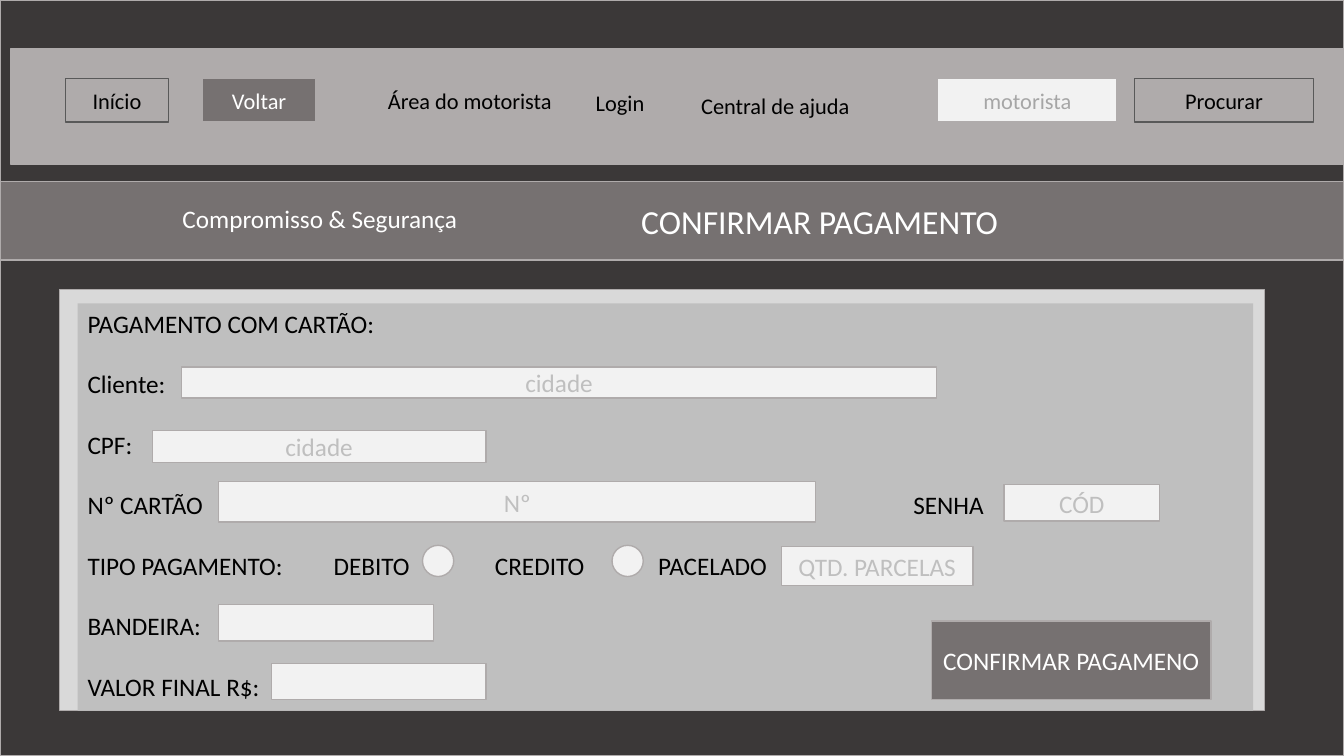
from dataclasses import dataclass

import pptx
import pptx.dml.color
import pptx.enum.shapes
import pptx.enum.text
import pptx.oxml.ns
import pptx.util
from lxml import etree

RGBColor = pptx.dml.color.RGBColor
Inches = pptx.util.Inches
Pt = pptx.util.Pt
RECTANGLE = pptx.enum.shapes.MSO_SHAPE.RECTANGLE
OVAL = pptx.enum.shapes.MSO_SHAPE.OVAL
MIDDLE = pptx.enum.text.MSO_ANCHOR.MIDDLE
TOP = pptx.enum.text.MSO_ANCHOR.TOP
CENTER = pptx.enum.text.PP_ALIGN.CENTER
LEFT = pptx.enum.text.PP_ALIGN.LEFT

FONT = "Calibri"
BLACK = RGBColor(0x00, 0x00, 0x00)
WHITE = RGBColor(0xFF, 0xFF, 0xFF)
CHARCOAL = RGBColor(0x3B, 0x38, 0x38)
OUTLINE = RGBColor(0x59, 0x59, 0x59)
BUTTON = RGBColor(0x76, 0x71, 0x71)
HINT = RGBColor(0xA6, 0xA6, 0xA6)
BAR = RGBColor(0xAF, 0xAB, 0xAB)
PANEL = RGBColor(0xBF, 0xBF, 0xBF)
FRAME = RGBColor(0xD9, 0xD9, 0xD9)
FIELD = RGBColor(0xF2, 0xF2, 0xF2)


@dataclass
class Box:
    """A rectangle in inches."""

    left: float
    top: float
    width: float
    height: float

    def inner(self, left, top, width, height):
        """Return a box placed relative to this one."""
        return Box(self.left + left, self.top + top, width, height)

    def lengths(self):
        """Return the four sides as lengths."""
        return [Inches(side) for side in (self.left, self.top, self.width, self.height)]


def format_text(text_frame, size, color, alignment):
    """Give every paragraph and run of a frame one look."""
    text_frame.word_wrap = True
    for paragraph in text_frame.paragraphs:
        paragraph.alignment = alignment
        for run in paragraph.runs:
            run.font.name = FONT
            run.font.size = Pt(size)
            run.font.color.rgb = color


def add_block(slide, box, fill=None, line=BAR, text="", size=18, color=PANEL, kind=RECTANGLE):
    """Draw a flat shape with optional centred text."""
    shape = slide.shapes.add_shape(kind, *box.lengths())
    shape.shadow.inherit = False
    if fill is None:
        shape.fill.background()
    else:
        shape.fill.solid()
        shape.fill.fore_color.rgb = fill
    if line is None:
        shape.line.fill.background()
    else:
        shape.line.color.rgb = line
        shape.line.width = Pt(1)
    if text:
        shape.text_frame.text = text
        shape.text_frame.vertical_anchor = MIDDLE
        format_text(shape.text_frame, size, color, CENTER)
    return shape


def add_tabs(paragraph, positions):
    """Set left tab stops, in inches, on a paragraph."""
    properties = paragraph._p.get_or_add_pPr()
    tab_list = etree.SubElement(properties, pptx.oxml.ns.qn("a:tabLst"))
    for position in positions:
        tab = etree.SubElement(tab_list, pptx.oxml.ns.qn("a:tab"))
        tab.set("pos", str(Inches(position)))
        tab.set("algn", "l")


def add_navigation(slide, box):
    """Draw the top bar with its links, buttons and search field."""
    add_block(slide, box, BAR)
    items = [
        ("Início", 0.54, 0.3, 1.02, None, OUTLINE, BLACK),
        ("Voltar", 1.9, 0.3, 1.12, BUTTON, BAR, WHITE),
        ("Área do motorista", 3.6, 0.3, 1.9, None, BAR, BLACK),
        ("Login", 5.41, 0.32, 1.26, None, BAR, BLACK),
        ("Central de ajuda", 6.63, 0.35, 1.9, None, BAR, BLACK),
        ("motorista", 9.19, 0.3, 1.78, FIELD, BAR, HINT),
        ("Procurar", 11.14, 0.3, 1.78, None, OUTLINE, BLACK),
    ]
    for text, left, top, width, fill, line, color in items:
        add_block(slide, box.inner(left, top, width, 0.43), fill, line, text, 16, color)


def add_banner(slide, box):
    """Draw the title band with the tagline on its left."""
    title = add_block(slide, box, BUTTON, BAR, "CONFIRMAR PAGAMENTO", 24, WHITE)
    title.text_frame.margin_left = Inches(3.03)
    tagline = slide.shapes.add_textbox(*box.inner(1.61, 0.17, 3.19, 0.4).lengths())
    tagline.text_frame.text = "Compromisso & Segurança"
    tagline.text_frame.margin_left = Inches(0.2)
    format_text(tagline.text_frame, 18, WHITE, LEFT)


def add_labels(panel):
    """Write the form labels, one row per paragraph."""
    rows = [
        ("PAGAMENTO COM CARTÃO:", []),
        ("Cliente:", []),
        ("CPF:", []),
        ("Nº CARTÃO\tSENHA", [8.19]),
        ("TIPO PAGAMENTO:\tDEBITO\tCREDITO\tPACELADO", [2.44, 4.04, 5.66]),
        ("BANDEIRA:", []),
        ("VALOR FINAL R$:", []),
    ]
    text_frame = panel.text_frame
    text_frame.vertical_anchor = TOP
    for index, (text, tabs) in enumerate(rows):
        paragraph = text_frame.add_paragraph() if index else text_frame.paragraphs[0]
        paragraph.text = text
        if tabs:
            add_tabs(paragraph, tabs)
        if index:
            paragraph.space_before = Pt(21.6)
    format_text(text_frame, 18, BLACK, LEFT)


def add_payment_form(slide, box):
    """Draw the framed card form with labels, fields and button."""
    add_block(slide, box, FRAME)
    panel_box = box.inner(0.18, 0.14, box.width - 0.29, box.height - 0.14)
    add_labels(add_block(slide, panel_box, PANEL, None))
    fields = [
        ("cidade", 1.03, 0.63, 7.49, 0.31),
        ("cidade", 0.74, 1.26, 3.31, 0.32),
        ("Nº", 1.4, 1.77, 5.92, 0.4),
        ("CÓD", 9.19, 1.8, 1.54, 0.36),
        ("QTD. PARCELAS", 6.98, 2.41, 1.9, 0.39),
        ("", 1.4, 2.99, 2.13, 0.36),
        ("", 1.92, 3.57, 2.13, 0.36),
    ]
    for text, *place in fields:
        add_block(slide, panel_box.inner(*place), FIELD, text=text)
    for left in (3.42, 5.3):
        add_block(slide, panel_box.inner(left, 2.4, 0.31, 0.31), FIELD, kind=OVAL)
    button = add_block(slide, panel_box.inner(8.47, 3.15, 2.77, 0.78), BUTTON,
                       text="CONFIRMAR PAGAMENO", color=WHITE)
    button.text_frame.margin_left = button.text_frame.margin_right = Inches(0.05)


def main():
    """Build and save the payment confirmation slide."""
    presentation = pptx.Presentation()
    page = Box(0, 0, 13.33, 7.5)
    presentation.slide_width = Inches(page.width)
    presentation.slide_height = Inches(page.height)
    slide = presentation.slides.add_slide(presentation.slide_layouts[6])
    add_block(slide, page, CHARCOAL)
    add_payment_form(slide, page.inner(0.59, 2.87, 11.95, 4.18))
    add_banner(slide, page.inner(0, 1.8, page.width, 0.78))
    add_navigation(slide, page.inner(0.11, 0.48, 13.22, 1.15))
    presentation.save("out.pptx")


if __name__ == "__main__":
    main()
